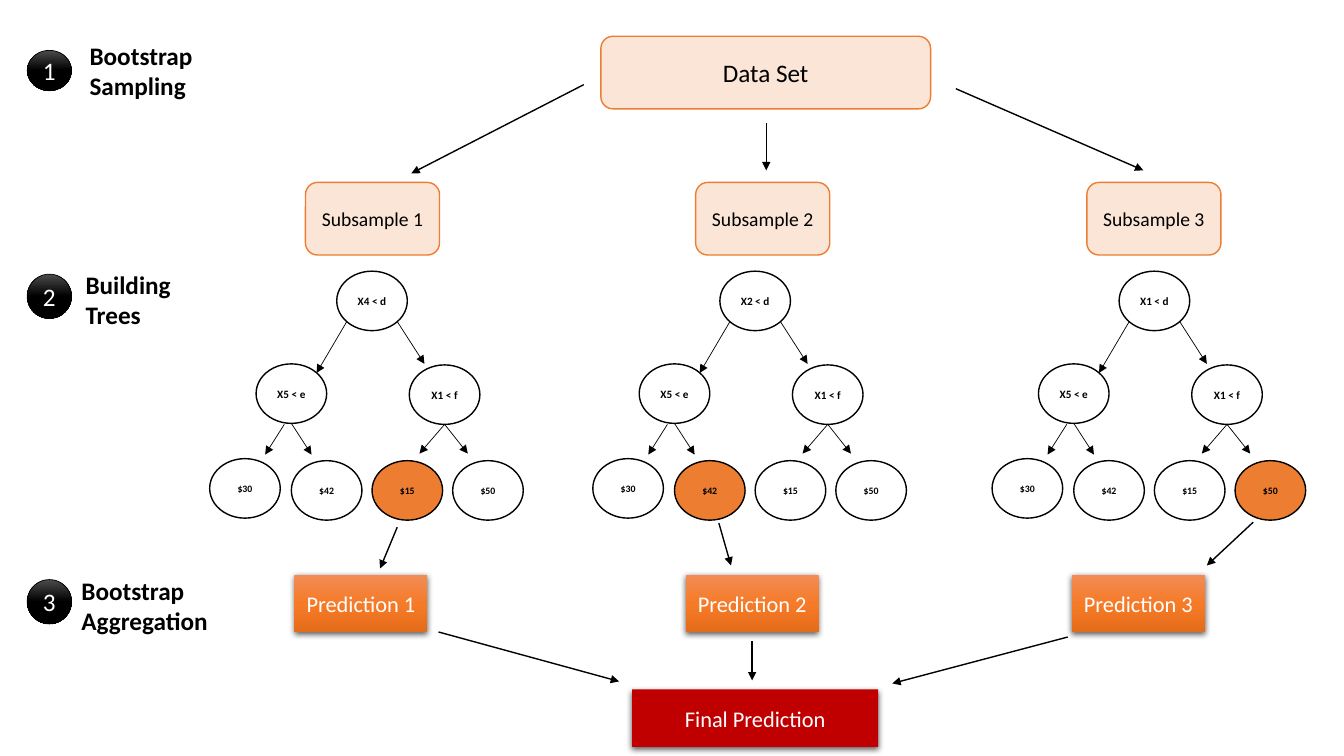
from dataclasses import dataclass

from lxml import etree
from pptx import Presentation
from pptx.dml import color
from pptx.enum import shapes, text
from pptx.oxml import ns
from pptx.util import Inches, Pt

HUES = {
    "black": "000000",
    "white": "FFFFFF",
    "peach": "FBE5D6",
    "orange": "ED7D31",
    "red": "C00000",
}
GLOSS = ((0, "4B4B4B"), (50, "000000"), (100, "000000"))
GLOW = ((0, "F18C57"), (50, "F67B28"), (100, "E56C19"))
KIND = shapes.MSO_SHAPE


@dataclass(frozen=True)
class Step:
    num: str
    words: tuple[str, str]
    top: float
    high: float
    left: float
    head: float


@dataclass(frozen=True)
class Tree:
    left: float
    root: str
    pick: str


@dataclass(frozen=True)
class Node:
    label: str
    dx: float
    dy: float
    size: int = 8


@dataclass(frozen=True)
class Arrow:
    x1: float
    y1: float
    x2: float
    y2: float


STEPS = (
    Step("1", ("Bootstrap", "Sampling"), 0.5, 0.4, 0.79, 0.35),
    Step("2", ("Building", "Trees"), 2.72, 0.44, 0.75, 2.62),
    Step("3", ("Bootstrap", "Aggregation"), 5.75, 0.44, 0.71, 5.66),
)
TREES = (
    Tree(3.34, "X4 < d", "$15"),
    Tree(7.14, "X2 < d", "$42"),
    Tree(11.1, "X1 < d", "$50"),
)
NODES = (
    Node("X5 < e", -0.8, 0.92),
    Node("X1 < f", 0.72, 0.93),
    Node("$30", -1.26, 1.86, 7),
    Node("$42", -0.45, 1.88, 7),
    Node("$15", 0.35, 1.88, 7),
    Node("$50", 1.15, 1.88, 7),
)
TWIGS = (
    Arrow(0.1, 0.5, -0.2, 1.01),
    Arrow(0.6, 0.5, 0.87, 0.92),
    Arrow(1.07, 1.52, 1.3, 1.81),
    Arrow(1.07, 1.52, 0.82, 1.81),
    Arrow(-0.52, 1.52, -0.71, 1.82),
    Arrow(-0.45, 1.51, -0.25, 1.82),
)
FLOWS = (
    Arrow(7.6, 1.22, 7.6, 1.69),
    Arrow(9.48, 0.88, 11.34, 1.69),
    Arrow(5.79, 0.84, 4.08, 1.72),
    Arrow(7.46, 6.36, 7.46, 6.75),
    Arrow(4.35, 6.27, 6.14, 6.76),
    Arrow(10.59, 6.32, 8.85, 6.78),
    Arrow(3.94, 5.23, 3.77, 5.64),
    Arrow(7.13, 5.19, 7.25, 5.61),
    Arrow(12.43, 5.18, 11.97, 5.61),
)
SAMPLES = (3.03, 6.9, 10.78)
GUESSES = (2.92, 6.8, 10.63)
TREE_TOP = 2.69


def rgb(name: str) -> color.RGBColor:
    return color.RGBColor.from_string(HUES[name])


def put(frame, *lines: str, size: float, hue: str = "black",
        bold: bool = False, align=text.PP_ALIGN.CENTER) -> None:
    for i, line in enumerate(lines):
        para = frame.add_paragraph() if i else frame.paragraphs[0]
        para.alignment = align
        run = para.add_run()
        run.text = line
        run.font.name = "Calibri"
        run.font.size = Pt(size)
        run.font.bold = bold
        run.font.color.rgb = rgb(hue)


def blend(shape, stops: tuple) -> None:
    shape.fill.gradient()
    shape.fill.gradient_angle = 270
    group = shape._element.spPr.find(".//" + ns.qn("a:gsLst"))
    group.clear()
    for spot, tint in stops:
        stop = etree.SubElement(group, ns.qn("a:gs"), pos=str(spot * 1000))
        etree.SubElement(stop, ns.qn("a:srgbClr"), val=tint)


def shade(shape) -> None:
    fx = shape._element.spPr.find(ns.qn("a:effectLst"))
    drop = etree.SubElement(fx, ns.qn("a:outerShdw"), blurRad=str(Pt(4.5)),
                            dist=str(Pt(1.5)), dir="5400000", rotWithShape="0")
    tint = etree.SubElement(drop, ns.qn("a:srgbClr"), val=HUES["black"])
    etree.SubElement(tint, ns.qn("a:alpha"), val="63000")


def block(host, kind, at: tuple, label: str, size: float, fill=None,
          line=None, width: float = 1, hue: str = "black",
          bold: bool = False, drop: bool = False) -> None:
    shape = host.add_shape(kind, *map(Inches, at))
    shape.shadow.inherit = False
    if drop:
        shade(shape)
    if isinstance(fill, tuple):
        blend(shape, fill)
    elif fill:
        shape.fill.solid()
        shape.fill.fore_color.rgb = rgb(fill)
    else:
        shape.fill.background()
    if line:
        shape.line.color.rgb = rgb(line)
        shape.line.width = Pt(width)
    else:
        shape.line.fill.background()
    frame = shape.text_frame
    frame.word_wrap = False
    frame.vertical_anchor = text.MSO_ANCHOR.MIDDLE
    frame.margin_left = frame.margin_right = 0
    frame.margin_top = frame.margin_bottom = 0
    put(frame, label, size=size, hue=hue, bold=bold)


def link(host, arrow: Arrow, width: float, dx: float = 0, dy: float = 0) -> None:
    ends = (arrow.x1 + dx, arrow.y1 + dy, arrow.x2 + dx, arrow.y2 + dy)
    wire = host.add_connector(shapes.MSO_CONNECTOR.STRAIGHT, *map(Inches, ends))
    wire.line.color.rgb = rgb("black")
    wire.line.width = Pt(width)
    etree.SubElement(wire.line._get_or_add_ln(), ns.qn("a:tailEnd"), type="triangle")
    etree.SubElement(wire._element.spPr, ns.qn("a:effectLst"))


def grow(host, tree: Tree) -> None:
    group = host.add_group_shape().shapes
    for node in (Node(tree.root, 0, 0), *NODES):
        spot = (tree.left + node.dx, TREE_TOP + node.dy, 0.7, 0.59)
        fill = "orange" if node.label == tree.pick else None
        block(group, KIND.OVAL, spot, node.label, node.size, fill, "black", bold=True)
    for twig in TWIGS:
        link(group, twig, 0.5, tree.left, TREE_TOP)


def mark(host, step: Step) -> None:
    block(host, KIND.OVAL, (0.27, step.top, 0.44, step.high), step.num, 18,
          GLOSS, "black", 0.5, "white")
    box = host.add_textbox(*map(Inches, (step.left, step.head, 2.35, 0.71)))
    box.text_frame.word_wrap = True
    put(box.text_frame, *step.words, size=18, bold=True, align=text.PP_ALIGN.LEFT)


def main() -> None:
    deck = Presentation()
    deck.slide_width, deck.slide_height = Inches(13.33), Inches(7.5)
    host = deck.slides.add_slide(deck.slide_layouts[6]).shapes
    block(host, KIND.ROUNDED_RECTANGLE, (5.96, 0.36, 3.27, 0.72), "Data Set",
          18, "peach", "orange")
    for i, left in enumerate(SAMPLES, 1):
        block(host, KIND.ROUNDED_RECTANGLE, (left, 1.81, 1.33, 0.72),
              f"Subsample {i}", 14, "peach", "orange")
    for tree in TREES:
        grow(host, tree)
    for i, left in enumerate(GUESSES, 1):
        block(host, KIND.RECTANGLE, (left, 5.7, 1.32, 0.57), f"Prediction {i}",
              16, GLOW, hue="white", drop=True)
    block(host, KIND.RECTANGLE, (6.27, 6.84, 2.44, 0.57), "Final Prediction",
          16, "red", hue="white", drop=True)
    for flow in FLOWS:
        link(host, flow, 1)
    for step in STEPS:
        mark(host, step)
    deck.save("out.pptx")


if __name__ == "__main__":
    main()
